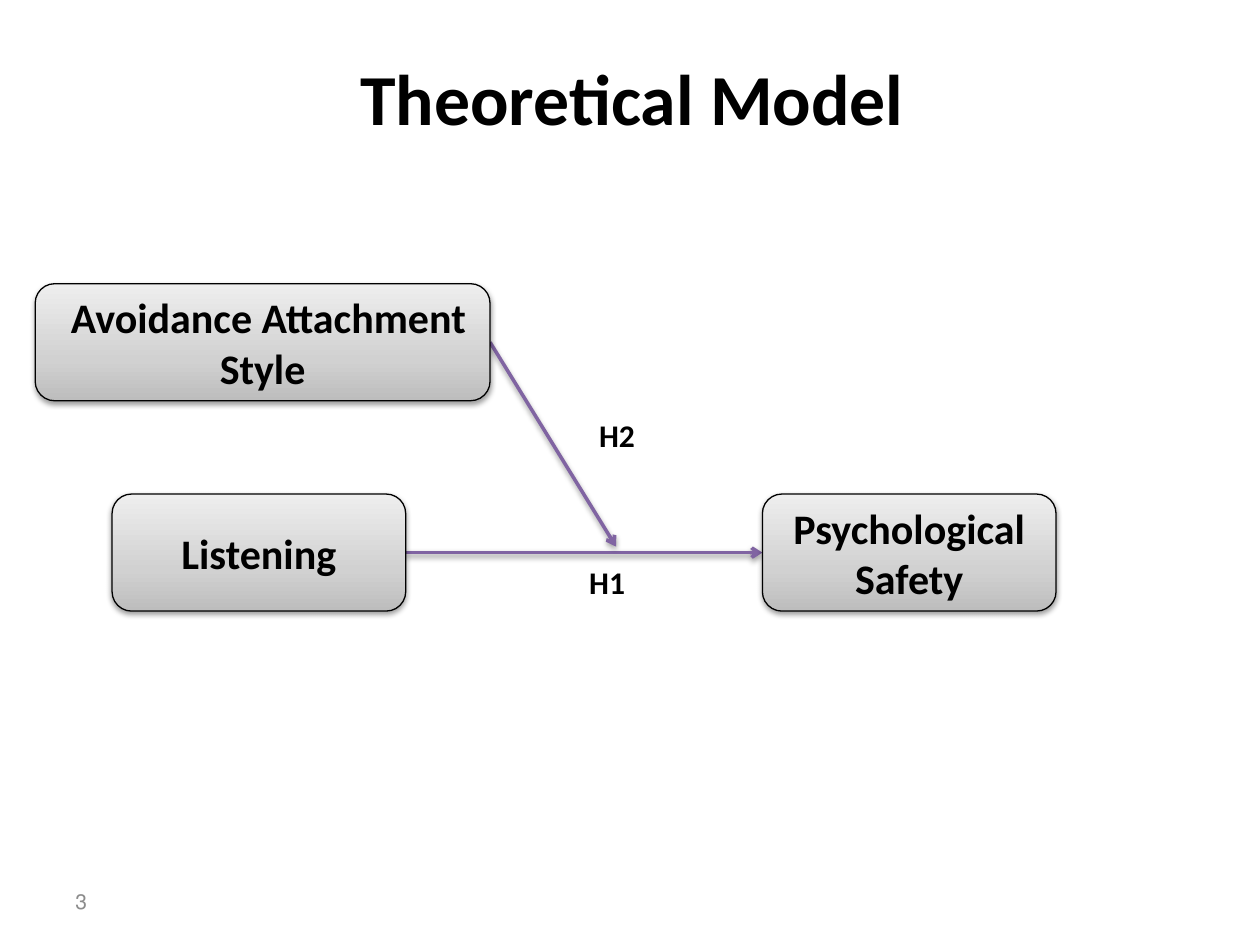
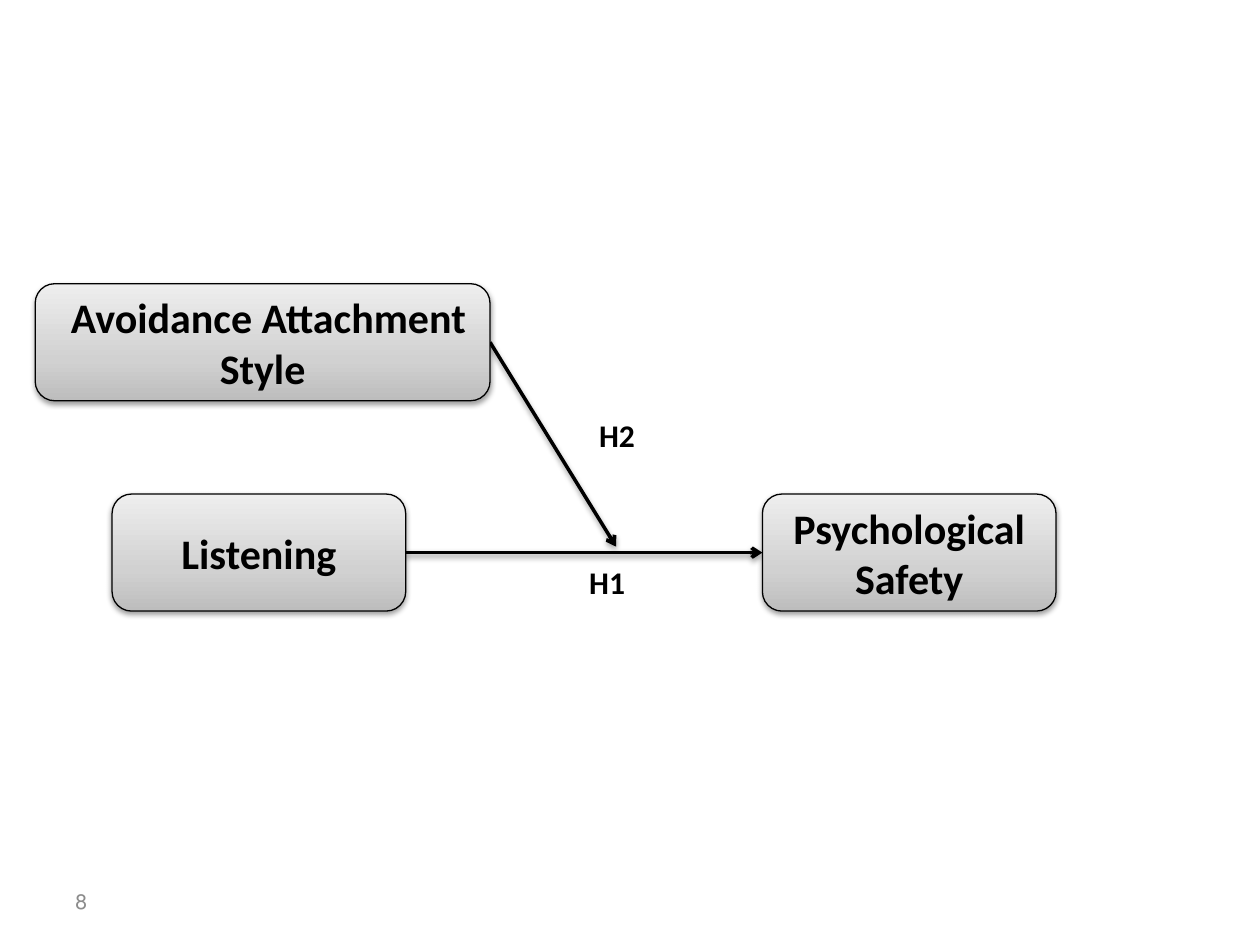
"""Build two slides showing a moderated model of listening and psychological safety."""
from dataclasses import dataclass

from lxml import etree
from pptx import Presentation
from pptx import util as u
from pptx.dml import color
from pptx.enum import shapes, text
from pptx.oxml import ns

COLORS = {
    "text": "000000",
    "outline": "000000",
    "shadow": "000000",
    "page_number": "8C8C8C",
    "purple": "8064A2",
    "black": "000000",
}
BOX_GRADIENT = {0: "BDBDBD", 35: "D1D1D1", 100: "EEEEEE"}
FONT = "Calibri"
ALIGN = text.PP_ALIGN
ANCHOR = text.MSO_ANCHOR


@dataclass(frozen=True)
class Area:
    left: float
    top: float
    width: float
    height: float

    @property
    def right(self) -> float:
        return self.left + self.width

    @property
    def middle(self) -> float:
        return self.top + self.height / 2

    def lengths(self) -> list[u.Cm]:
        return [u.Cm(value) for value in (self.left, self.top, self.width, self.height)]


@dataclass(frozen=True)
class TextStyle:
    size: float
    color: str = "text"
    bold: bool = True
    align: ALIGN = ALIGN.CENTER
    anchor: ANCHOR = ANCHOR.MIDDLE
    right_to_left: bool = True


@dataclass(frozen=True)
class Caption:
    area: Area
    lines: tuple[str, ...]


@dataclass(frozen=True)
class Arrow:
    start: tuple[float, float]
    end: tuple[float, float]


@dataclass(frozen=True)
class ModelSlide:
    number: str
    arrow_color: str
    title: str = ""


TITLE_STYLE = TextStyle(41, right_to_left=False)
BOX_STYLE = TextStyle(24)
LABEL_STYLE = TextStyle(18, align=ALIGN.RIGHT, anchor=ANCHOR.TOP)
NUMBER_STYLE = TextStyle(12, "page_number", bold=False, align=ALIGN.LEFT)

TITLE_AREA = Area(1.32, 0.36, 22.86, 3.18)
NUMBER_AREA = Area(1.27, 17.65, 5.92, 1.02)

AVOIDANCE = Caption(Area(0.71, 5.72, 9.17, 2.36), ("Avoidance Attachment ", "Style"))
LISTENING = Caption(Area(2.26, 9.96, 5.92, 2.36), ("Listening",))
SAFETY = Caption(Area(15.37, 9.96, 5.92, 2.36), ("Psychological", "Safety"))
BOXES = (AVOIDANCE, LISTENING, SAFETY)
LABELS = (
    Caption(Area(11.15, 11.23, 1.7, 1.02), ("H1",)),
    Caption(Area(11.35, 8.26, 1.7, 1.02), ("H2",)),
)
ARROWS = (
    Arrow((LISTENING.area.right, LISTENING.area.middle), (SAFETY.area.left, SAFETY.area.middle)),
    Arrow((AVOIDANCE.area.right, AVOIDANCE.area.middle), (12.42, 11.02)),
)
SLIDES = (
    ModelSlide("3", "purple", "Theoretical Model"),
    ModelSlide("8", "black"),
)


def rgb(name: str) -> color.RGBColor:
    return color.RGBColor.from_string(COLORS[name])


def add_child(parent, tag: str, **attributes):
    return etree.SubElement(parent, ns.qn(tag), attributes)


def add_shadow(properties) -> None:
    effects = add_child(properties, "a:effectLst")
    shadow = add_child(effects, "a:outerShdw", blurRad="40000", dist="20000",
                       dir="5400000", rotWithShape="0")
    shade = add_child(shadow, "a:srgbClr", val=COLORS["shadow"])
    add_child(shade, "a:alpha", val="38000")


def fill_gradient(shape) -> None:
    shape.fill.gradient()
    gradient = shape.element.spPr.find(ns.qn("a:gradFill"))
    for child in list(gradient):
        gradient.remove(child)
    stops = add_child(gradient, "a:gsLst")
    for position, value in BOX_GRADIENT.items():
        stop = add_child(stops, "a:gs", pos=str(position * 1000))
        add_child(stop, "a:srgbClr", val=value)
    add_child(gradient, "a:lin", ang="16200000", scaled="0")


def write_text(shape, lines: tuple[str, ...], style: TextStyle) -> None:
    frame = shape.text_frame
    frame.word_wrap = True
    frame.vertical_anchor = style.anchor
    for index, line in enumerate(lines):
        paragraph = frame.add_paragraph() if index else frame.paragraphs[0]
        paragraph.alignment = style.align
        if style.right_to_left:
            paragraph._p.get_or_add_pPr().set("rtl", "1")
        run = paragraph.add_run()
        run.text = line
        run.font.name = FONT
        run.font.size = u.Pt(style.size)
        run.font.bold = style.bold
        run.font.color.rgb = rgb(style.color)


def add_text(slide, caption: Caption, style: TextStyle) -> None:
    write_text(slide.shapes.add_textbox(*caption.area.lengths()), caption.lines, style)


def add_box(slide, caption: Caption) -> None:
    shape = slide.shapes.add_shape(shapes.MSO_SHAPE.ROUNDED_RECTANGLE, *caption.area.lengths())
    fill_gradient(shape)
    shape.line.color.rgb = rgb("outline")
    shape.line.width = u.Pt(0.75)
    add_shadow(shape.element.spPr)
    write_text(shape, caption.lines, BOX_STYLE)


def add_arrow(slide, arrow: Arrow, color_name: str) -> None:
    ends = [u.Cm(value) for value in arrow.start + arrow.end]
    connector = slide.shapes.add_connector(shapes.MSO_CONNECTOR.STRAIGHT, *ends)
    connector.line.color.rgb = rgb(color_name)
    connector.line.width = u.Pt(2)
    properties = connector.element.spPr
    add_child(properties.find(ns.qn("a:ln")), "a:tailEnd", type="arrow")
    add_shadow(properties)


def build_slide(presentation, model: ModelSlide) -> None:
    slide = presentation.slides.add_slide(presentation.slide_layouts[6])
    if model.title:
        add_text(slide, Caption(TITLE_AREA, (model.title,)), TITLE_STYLE)
    for arrow in ARROWS:
        add_arrow(slide, arrow, model.arrow_color)
    for label in LABELS:
        add_text(slide, label, LABEL_STYLE)
    for box in BOXES:
        add_box(slide, box)
    add_text(slide, Caption(NUMBER_AREA, (model.number,)), NUMBER_STYLE)


def main() -> None:
    presentation = Presentation()
    presentation.slide_width = u.Cm(25.4)
    presentation.slide_height = u.Cm(19.05)
    for model in SLIDES:
        build_slide(presentation, model)
    presentation.save("out.pptx")


if __name__ == "__main__":
    main()
